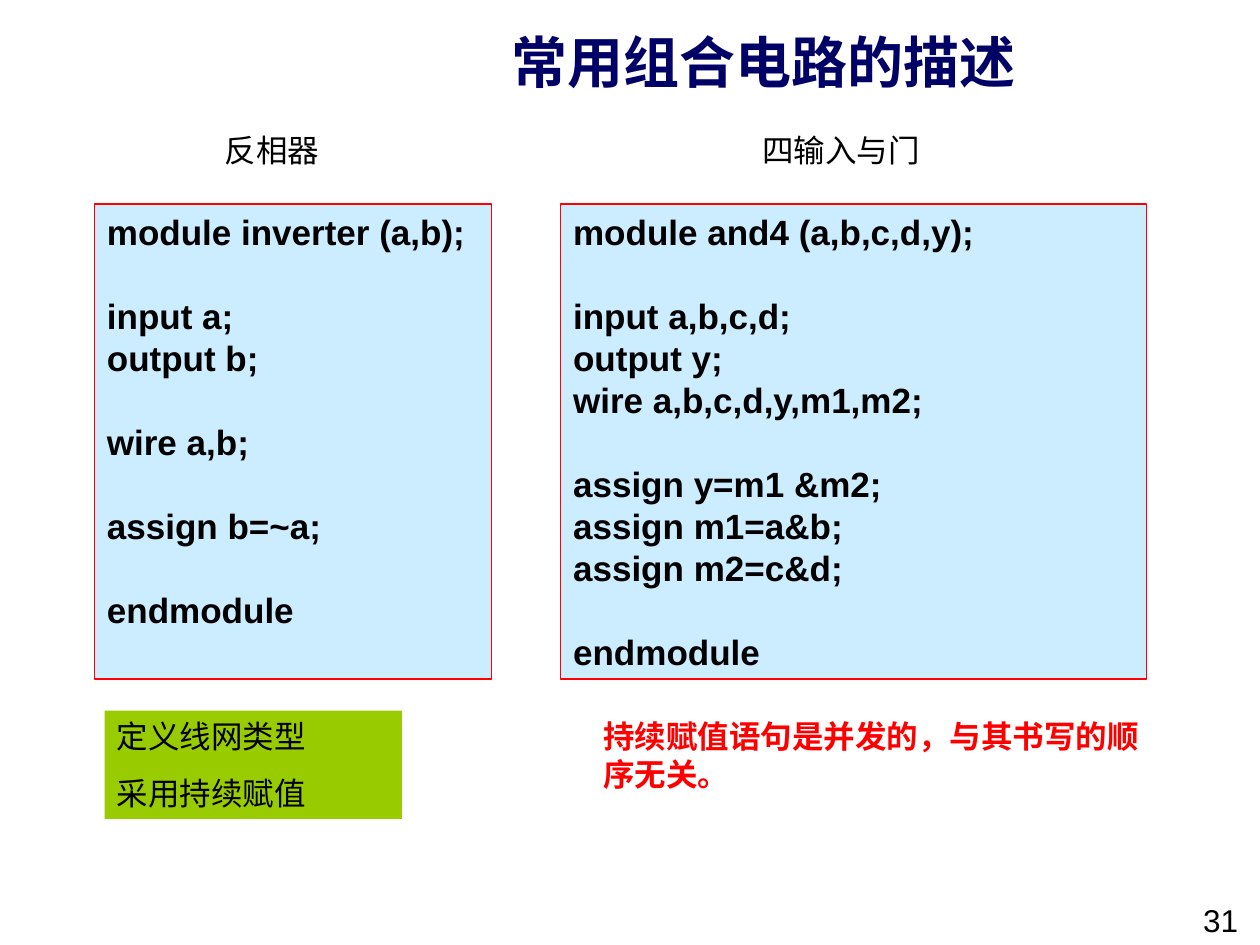
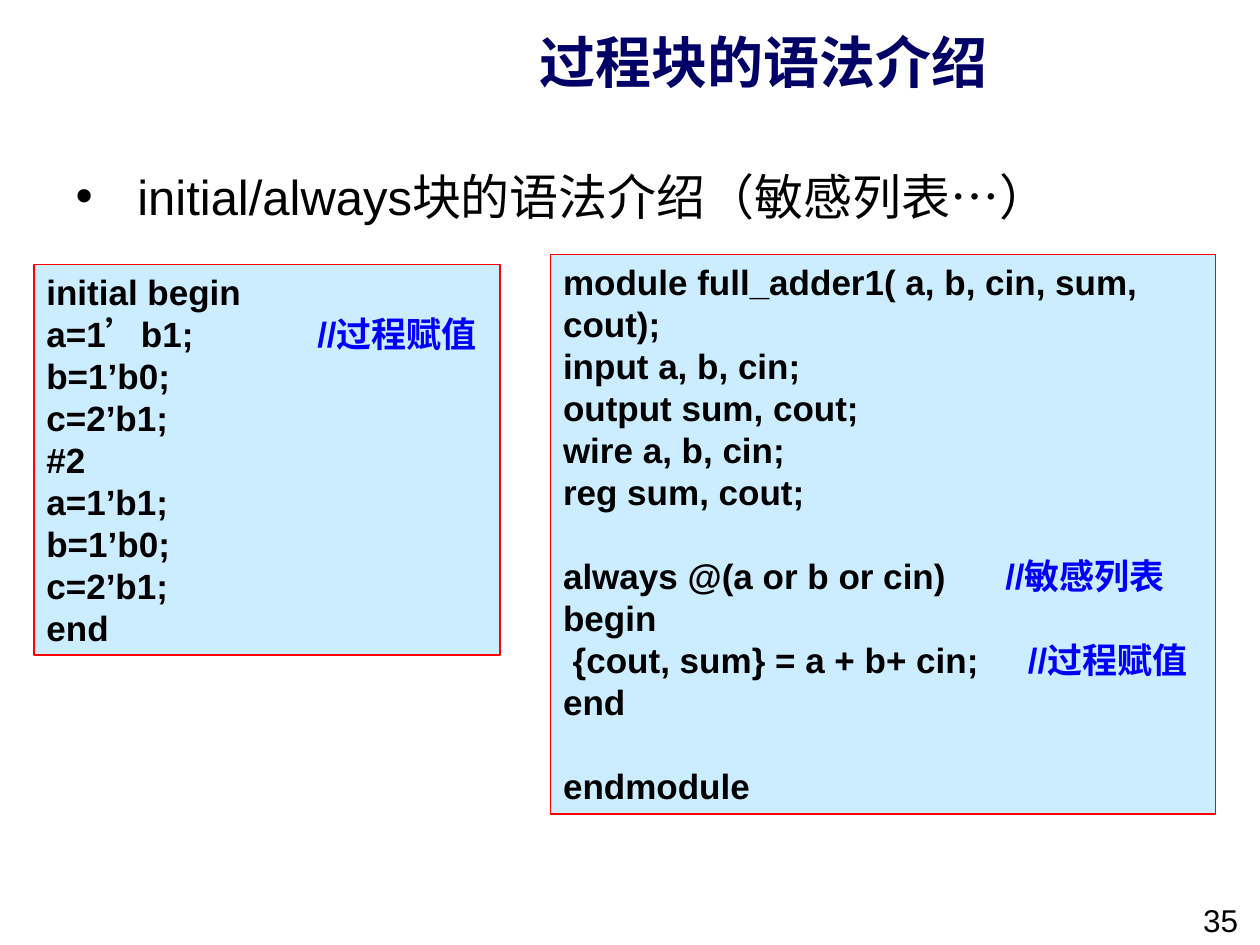
from dataclasses import dataclass

from lxml.etree import SubElement
from pptx import Presentation
from pptx.dml.color import RGBColor
from pptx.enum.lang import MSO_LANGUAGE_ID
from pptx.enum.shapes import MSO_SHAPE
from pptx.enum.text import MSO_ANCHOR, MSO_AUTO_SIZE, PP_ALIGN
from pptx.oxml.ns import qn
from pptx.util import Inches, Pt


@dataclass(frozen=True)
class Theme:
    latin: str = "Arial"
    chinese: str = "Noto Sans CJK SC"
    ink: str = "000000"
    navy: str = "000066"
    red: str = "FF0000"
    blue: str = "0000FF"
    code_fill: str = "CCECFF"
    note_fill: str = "99CC00"
    title_size: float = 32
    body_size: float = 28
    code_size: float = 20
    label_size: float = 18
    leading: float = 1.2
    note_gap: float = 11.2
    border: float = 0.75


THEME = Theme()
SLIDE_WIDTH, SLIDE_HEIGHT = Inches(10), Inches(7.5)
GRID_COLUMNS, GRID_ROWS = 100, 75
COLUMN, ROW = SLIDE_WIDTH // GRID_COLUMNS, SLIDE_HEIGHT // GRID_ROWS
TITLE_ONLY, TITLE_AND_BODY = 5, 1


@dataclass(frozen=True)
class Area:
    column: float
    row: float
    columns: float
    rows: float

    def frame(self) -> tuple[int, int, int, int]:
        return (round(self.column * COLUMN), round(self.row * ROW),
                round(self.columns * COLUMN), round(self.rows * ROW))


@dataclass(frozen=True)
class Style:
    size: float
    color: str = THEME.ink
    bold: bool = False
    align: PP_ALIGN = PP_ALIGN.LEFT


@dataclass(frozen=True)
class Span:
    text: str
    color: str | None = None
    font: str | None = None


@dataclass(frozen=True)
class Line:
    spans: tuple[Span, ...]
    gap: float = 0
    tab: float | None = None


@dataclass(frozen=True)
class Panel:
    area: Area
    lines: tuple[Line, ...]
    style: Style
    fill: str | None = None
    border: str | None = None
    wrap: bool = True
    anchor: MSO_ANCHOR = MSO_ANCHOR.TOP


TITLE = Style(THEME.title_size, THEME.navy, True, PP_ALIGN.CENTER)
BODY = Style(THEME.body_size)
CODE = Style(THEME.code_size, bold=True)
LABEL = Style(THEME.label_size)
CENTERED_LABEL = Style(THEME.label_size, align=PP_ALIGN.CENTER)
WARNING = Style(THEME.label_size, THEME.red, True)
TITLE_AREA = Area(24.8, 0.7, 71.6, 8.3)
BODY_AREA = Area(5, 12.7, 90, 55.5)
NUMBER_AREA = Area(94.5, 71, 5.5, 4)
CODE_GAP = THEME.code_size * THEME.leading


def plain(text: str, gap: float = 0) -> Line:
    return Line((Span(text),), gap)


def code_lines(source: str, first_gap: float = 0) -> tuple[Line, ...]:
    lines, gap = [], first_gap
    for text in source.strip("\n").split("\n"):
        if text:
            lines.append(plain(text, gap))
        gap = 0 if text else CODE_GAP
    return tuple(lines)


def commented(spans: tuple[Span, ...], comment: str, tab: float, gap: float = 0) -> Line:
    return Line((*spans, Span("\t"), Span(comment, THEME.blue)), gap, tab)


def code_panel(area: Area, lines: tuple[Line, ...]) -> Panel:
    return Panel(area, lines, CODE, THEME.code_fill, THEME.red)


def set_east_asian(properties, typeface: str) -> None:
    SubElement(properties, qn("a:ea")).set("typeface", typeface)


def add_bullet(paragraph, indent: int) -> None:
    properties = paragraph._p.get_or_add_pPr()
    properties.set("marL", str(indent))
    properties.set("indent", str(-indent))
    color = SubElement(properties, qn("a:buClr"))
    SubElement(color, qn("a:srgbClr")).set("val", THEME.ink)
    SubElement(properties, qn("a:buChar")).set("char", "•")


def add_tab(paragraph, columns: float) -> None:
    tabs = SubElement(paragraph._p.get_or_add_pPr(), qn("a:tabLst"))
    tab = SubElement(tabs, qn("a:tab"))
    tab.set("pos", str(round(columns * COLUMN)))
    tab.set("algn", "l")


def format_paragraph(paragraph, style: Style) -> None:
    font = paragraph.font
    font.size = Pt(style.size)
    font.bold = style.bold
    font.color.rgb = RGBColor.from_string(style.color)
    font.name = THEME.latin
    font.language_id = MSO_LANGUAGE_ID.SIMPLIFIED_CHINESE
    set_east_asian(paragraph._p.pPr.find(qn("a:defRPr")), THEME.latin)


def write_lines(text_frame, lines: tuple[Line, ...], style: Style,
                bullet_indent: int = 0) -> None:
    text_frame.auto_size = MSO_AUTO_SIZE.NONE
    for index, line in enumerate(lines):
        paragraph = text_frame.add_paragraph() if index else text_frame.paragraphs[0]
        paragraph.alignment = style.align
        paragraph.line_spacing = Pt(style.size * THEME.leading)
        paragraph.space_before = Pt(line.gap)
        if bullet_indent:
            add_bullet(paragraph, bullet_indent)
        if line.tab:
            add_tab(paragraph, line.tab)
        format_paragraph(paragraph, style)
        for span in line.spans:
            run = paragraph.add_run()
            run.text = span.text
            if span.color:
                run.font.color.rgb = RGBColor.from_string(span.color)
            if span.font:
                run.font.name = span.font
                set_east_asian(run._r.get_or_add_rPr(), span.font)


def draw_panel(page, panel: Panel) -> None:
    if panel.fill:
        box = page.shapes.add_shape(MSO_SHAPE.RECTANGLE, *panel.area.frame())
        box.shadow.inherit = False
        box.fill.solid()
        box.fill.fore_color.rgb = RGBColor.from_string(panel.fill)
        if panel.border:
            box.line.color.rgb = RGBColor.from_string(panel.border)
            box.line.width = Pt(THEME.border)
        else:
            box.line.fill.background()
    else:
        box = page.shapes.add_textbox(*panel.area.frame())
    box.text_frame.word_wrap = panel.wrap
    box.text_frame.vertical_anchor = panel.anchor
    write_lines(box.text_frame, panel.lines, panel.style)


def place(placeholder, area: Area) -> None:
    placeholder.left, placeholder.top, placeholder.width, placeholder.height = area.frame()


def add_page(deck, layout: int, title: str, number: int, panels: tuple[Panel, ...]):
    page = deck.slides.add_slide(deck.slide_layouts[layout])
    heading = page.shapes.title
    place(heading, TITLE_AREA)
    heading.text_frame.vertical_anchor = MSO_ANCHOR.MIDDLE
    write_lines(heading.text_frame, (plain(title),), TITLE)
    for panel in (*panels, Panel(NUMBER_AREA, (plain(str(number)),), LABEL)):
        draw_panel(page, panel)
    return page


def add_combinational_page(deck) -> None:
    inverter = code_lines("""
module inverter (a,b);

input a;
output b;

wire a,b;

assign b=~a;

endmodule
""")
    and_gate = code_lines("""
module and4 (a,b,c,d,y);

input a,b,c,d;
output y;
wire a,b,c,d,y,m1,m2;

assign y=m1 &m2;
assign m1=a&b;
assign m2=c&d;

endmodule
""")
    notes = (plain("定义线网类型"), plain("采用持续赋值", THEME.note_gap))
    warning = (plain("持续赋值语句是并发的，与其书写的顺序无关。"),)
    add_page(deck, TITLE_ONLY, "常用组合电路的描述", 31, (
        code_panel(Area(7.5, 16.2, 31.5, 37.7), inverter),
        Panel(Area(8.3, 56.4, 23.6, 8.6), notes, LABEL, THEME.note_fill),
        code_panel(Area(44.5, 16.2, 46.5, 37.7), and_gate),
        Panel(Area(15.3, 9.9, 12.6, 4), (plain("反相器"),), CENTERED_LABEL),
        Panel(Area(59.5, 9.9, 15, 4), (plain("四输入与门"),), LABEL,
              wrap=False, anchor=MSO_ANCHOR.MIDDLE),
        Panel(Area(46.9, 56.4, 46.5, 7), warning, WARNING),
    ))


def add_procedural_page(deck) -> None:
    adder = (
        *code_lines("""
module full_adder1( a, b, cin, sum, cout);
input a, b, cin;
output sum, cout;
wire a, b, cin;
reg sum, cout;
"""),
        commented((Span("always @(a or b or cin)"),), "//敏感列表", 35.1, CODE_GAP),
        plain("begin"),
        commented((Span(" {cout, sum} = a + b+ cin;"),), "//过程赋值", 36.9),
        *code_lines("end\n\nendmodule"),
    )
    wide_quote = (Span("a=1"), Span("’", font=THEME.chinese), Span("b1;"))
    initial = (
        plain("initial begin"),
        commented(wide_quote, "//过程赋值", 21.5),
        *code_lines("""
b=1’b0;
c=2’b1;
#2
a=1’b1;
b=1’b0;
c=2’b1;
end
"""),
    )
    page = add_page(deck, TITLE_AND_BODY, "过程块的语法介绍", 35, (
        code_panel(Area(43.7, 20.2, 52.8, 44.4), adder),
        code_panel(Area(2.7, 21, 37, 31), initial),
    ))
    body = page.placeholders[1]
    place(body, BODY_AREA)
    topic = Line((Span("initial/always块的语法介绍（敏感列表"),
                  Span("…", font=THEME.chinese), Span("）")))
    write_lines(body.text_frame, (topic,), BODY, bullet_indent=round(4.9 * COLUMN))


def main() -> None:
    deck = Presentation()
    deck.slide_width, deck.slide_height = SLIDE_WIDTH, SLIDE_HEIGHT
    add_combinational_page(deck)
    add_procedural_page(deck)
    deck.save("out.pptx")


if __name__ == "__main__":
    main()
